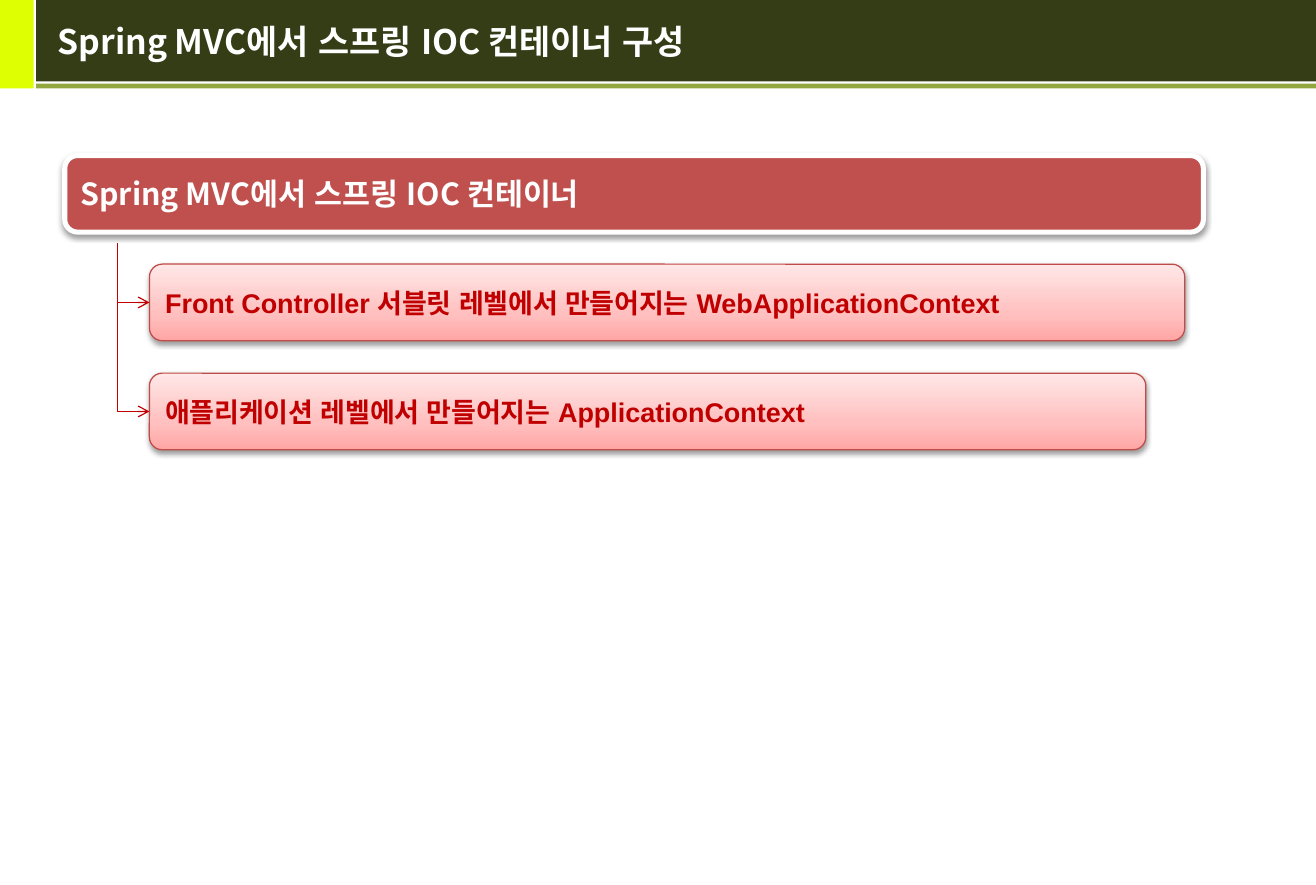
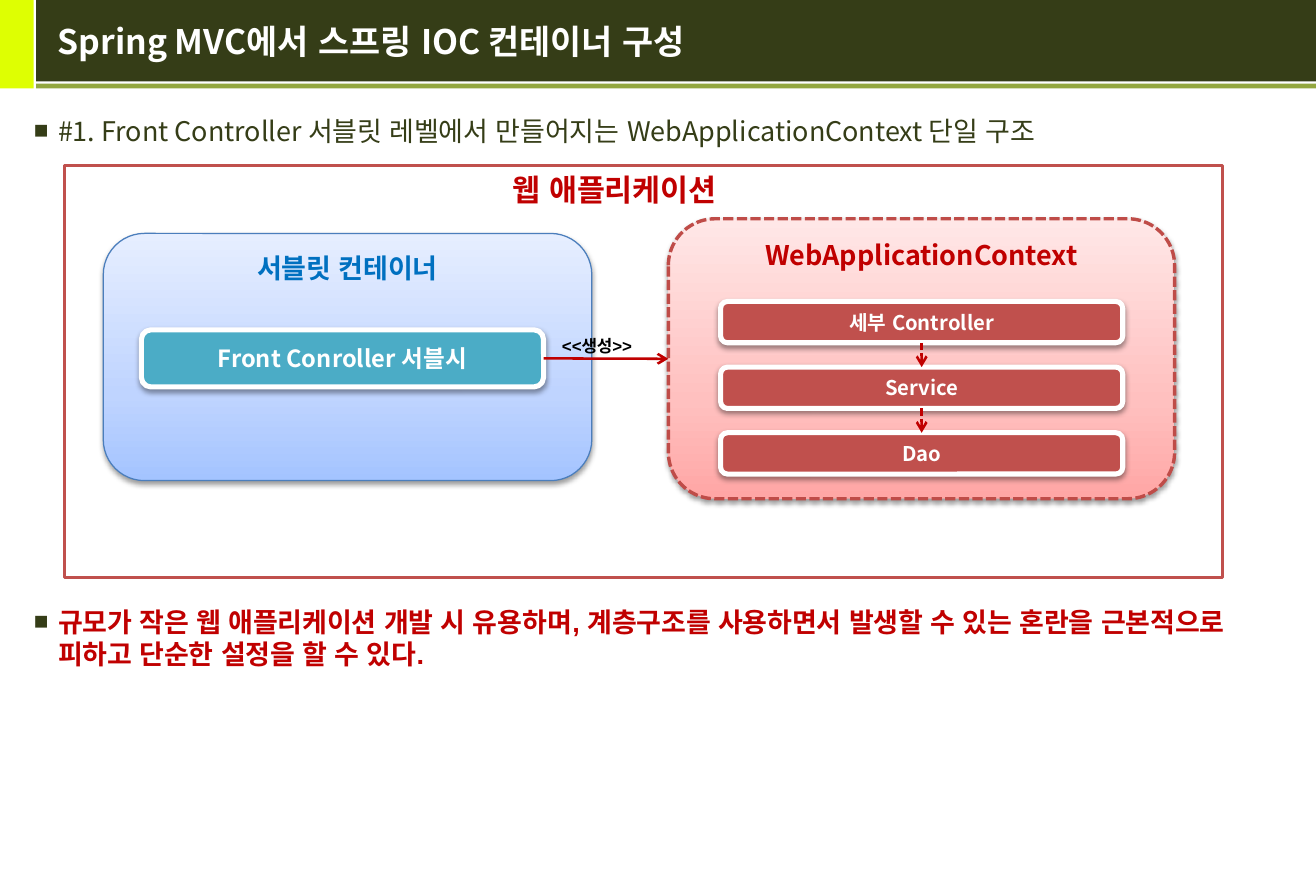
"""Build two slides on the container layout of Spring MVC."""
from copy import deepcopy
from lxml import etree
from pptx import Presentation
from pptx import util as u
from pptx.dml import color
from pptx.enum import dml, shapes, text
from pptx.oxml import ns

HUE = {"lime": "DEFF02", "dark": "353D17", "olive": "93A73F", "white": "FFFFFF",
       "brick": "C0504D", "rust": "BF4C48", "red": "C00000", "teal": "4BACC6",
       "navy": "4B7EBC", "blue": "0070C0", "black": "000000"}
FADE = {"rose": ("FFA6A5", "FFC0BF", "FFE7E7"), "sky": ("A4C4FF", "BFD4FF", "E6EEFF")}
RGB = {name: color.RGBColor.from_string(code) for name, code in HUE.items()}
CELL = u.Inches(1) // 12
COLS = 129.96
NOTO, ARIAL = "Noto Sans CJK KR", "Arial"
RECT, ROUND = shapes.MSO_SHAPE.RECTANGLE, shapes.MSO_SHAPE.ROUNDED_RECTANGLE
MID, TOP = text.MSO_ANCHOR.MIDDLE, text.MSO_ANCHOR.TOP
LEFT, MIDDLE = text.PP_ALIGN.LEFT, text.PP_ALIGN.CENTER
DASH = dml.MSO_LINE.SQUARE_DOT

TITLE = {"size": 20, "hue": "white", "anchor": MID}
HEAD = {"kind": ROUND, "fill": "brick", "line": "white", "wide": 3, "shade": True,
        "size": 18, "hue": "white", "anchor": MID}
ITEM = {"kind": ROUND, "fill": "rose", "line": "rust", "wide": 0.75, "shade": True,
        "size": 16, "hue": "red", "face": ARIAL, "anchor": MID}
AREA = {**ITEM, "face": NOTO, "anchor": TOP, "align": MIDDLE}
LAYER = {**HEAD, "size": 12, "align": MIDDLE}
POINT = {"size": 16, "hue": "dark", "bold": False, "mark": True}


def box(page, at, words="", kind=None, fill=None, line=None, wide=1, dash=None,
        shade=False, size=16, hue="black", face=NOTO, bold=True, anchor=TOP,
        align=LEFT, mark=False):
    """Draw a shape or, without a kind, a text box, placed in grid cells."""
    spot = [round(n * CELL) for n in at]
    if kind is None:
        item = page.shapes.add_textbox(*spot)
    else:
        item = page.shapes.add_shape(kind, *spot)
        item.shadow.inherit = False
        if fill in FADE:
            item.fill.gradient()
            item.fill.gradient_angle = 90
            stops = item._element.spPr.find(".//" + ns.qn("a:gsLst"))
            for extra in list(stops)[2:]:
                stops.remove(extra)
            stops.insert(1, deepcopy(stops[0]))
            for stop, code, place in zip(item.fill.gradient_stops, FADE[fill], (0, 0.35, 1)):
                stop.color.rgb = color.RGBColor.from_string(code)
                stop.position = place
        else:
            item.fill.solid()
            item.fill.fore_color.rgb = RGB[fill]
        if line:
            item.line.color.rgb = RGB[line]
            item.line.width = u.Pt(wide)
            if dash:
                item.line.dash_style = dash
        else:
            item.line.fill.background()
        if shade:
            glow = item._element.spPr.find(ns.qn("a:effectLst"))
            cast = etree.SubElement(glow, ns.qn("a:outerShdw"), blurRad="40000",
                                    dist="20000", dir="5400000", rotWithShape="0")
            tint = etree.SubElement(cast, ns.qn("a:srgbClr"), val=HUE["black"])
            etree.SubElement(tint, ns.qn("a:alpha"), val="38000")
    if words:
        frame = item.text_frame
        for key, val in {"word_wrap": True, "vertical_anchor": anchor}.items():
            setattr(frame, key, val)
        para = frame.paragraphs[0]
        para.alignment = align
        if mark:
            prop = para._p.get_or_add_pPr()
            prop.set("marL", str(u.Inches(0.2)))
            prop.set("indent", str(-u.Inches(0.2)))
            tint = etree.SubElement(prop, ns.qn("a:buClr"))
            etree.SubElement(tint, ns.qn("a:srgbClr"), val=HUE["dark"])
            for tag, key, val in (("buSzPct", "val", "90000"), ("buFont", "typeface", ARIAL),
                                  ("buChar", "char", "■")):
                etree.SubElement(prop, ns.qn("a:" + tag)).set(key, val)
        run = para.add_run()
        run.text = words
        for key, val in {"size": u.Pt(size), "bold": bold, "name": face}.items():
            setattr(run.font, key, val)
        run.font.color.rgb = RGB[hue]
        etree.SubElement(run._r.get_or_add_rPr(), ns.qn("a:ea"), typeface=ARIAL)
    return item


def link(page, kind, wide, dash=None):
    """Draw a red arrow that is placed or joined afterwards."""
    wire = page.shapes.add_connector(kind, 0, 0, 0, 0)
    wire.line.color.rgb = RGB["red"]
    wire.line.width = u.Pt(wide)
    if dash:
        wire.line.dash_style = dash
    etree.SubElement(wire.line._get_or_add_ln(), ns.qn("a:tailEnd"), type="arrow")
    etree.SubElement(wire._element.spPr, ns.qn("a:effectLst"))
    return wire


deck = Presentation()
deck.slide_width = u.Inches(10.83)
deck.slide_height = u.Inches(7.28)
pages = [deck.slides.add_slide(deck.slide_layouts[6]) for _ in range(2)]
for page in pages:
    for at, fill in (((0, 0, 3.32, 8.72), "lime"), ((3.56, 0, COLS - 3.56, 8.04), "dark"),
                     ((3.56, 8.26, COLS - 3.56, 0.48), "olive")):
        box(page, at, kind=RECT, fill=fill)
    box(page, (4.5, 0, 123.84, 8.16), "Spring MVC에서 스프링 IOC 컨테이너 구성", **TITLE)

tree, flow = pages

box(tree, (6.4, 15.36, 112.44, 7.56), "Spring MVC에서 스프링 IOC 컨테이너", **HEAD)
STEM, EDGE, TALL = 11.64, 14.76, 7.56
LEVELS = [("Front Controller 서블릿 레벨에서 만들어지는 WebApplicationContext", 102.24, 24),
          ("애플리케이션 레벨에서 만들어지는 ApplicationContext", 98.4, 29.28)]
for row, (words, span, start) in enumerate(LEVELS):
    top = 26.08 + 10.76 * row
    box(tree, (EDGE, top, span, TALL), words, **ITEM)
    drop, run = top + TALL / 2 - start, EDGE - STEM
    bend = link(tree, shapes.MSO_CONNECTOR.ELBOW, 0.75)
    place = {"left": STEM + (run - drop) / 2, "top": start + (drop - run) / 2,
             "width": drop, "height": run}
    for key, val in place.items():
        setattr(bend, key, round(val * CELL))
    form = bend._element.spPr
    form.find(ns.qn("a:prstGeom")).set("prst", "bentConnector2")
    for key, val in {"rot": "16200000", "flipH": "1"}.items():
        form.find(ns.qn("a:xfrm")).set(key, val)

box(flow, (2.16, 10.68, 125.64, 4.2),
    "#1. Front Controller 서블릿 레벨에서 만들어지는 WebApplicationContext 단일 구조", **POINT)
box(flow, (2.16, 59.16, 125.64, 7.6),
    "규모가 작은 웹 애플리케이션 개발 시 유용하며, 계층구조를 사용하면서 발생할 수 있는 혼란을 "
    "근본적으로 피하고 단순한 설정을 할 수 있다.",
    **{**POINT, "hue": "red", "bold": True, "face": ARIAL})
box(flow, (6.4, 16.32, 114.36, 40.68), kind=RECT, fill="white", line="brick", wide=2)
scope = box(flow, (66, 21.6, 50, 27.64), "WebApplicationContext",
            **{**AREA, "wide": 2, "dash": DASH})
layers = [box(flow, (71.16, 29.76 + 6.48 * row, 39.72, 4.08), words, **LAYER)
          for row, words in enumerate(("세부 Controller", "Service", "Dao"))]
box(flow, (38.52, 16.32, 44.4, 4.2), "웹 애플리케이션", size=18, hue="red", align=MIDDLE)
box(flow, (10.2, 23.04, 48.24, 24.4), "서블릿 컨테이너",
    **{**AREA, "fill": "sky", "line": "navy", "hue": "blue"})
front = box(flow, (13.96, 32.56, 39.72, 5.64), "Front Conroller 서블시",
            **{**LAYER, "fill": "teal", "size": 14})
JOINS = [(front, 3, scope, 1, None)]
JOINS += [(upper, 2, lower, 0, DASH) for upper, lower in zip(layers, layers[1:])]
for first, out, last, into, dash in JOINS:
    wire = link(flow, shapes.MSO_CONNECTOR.STRAIGHT, 1.5, dash)
    wire.begin_connect(first, out)
    wire.end_connect(last, into)
box(flow, (54.32, 32.56, 11.28, 2.76), "<<생성>>", size=10, face=ARIAL)

deck.save("out.pptx")
